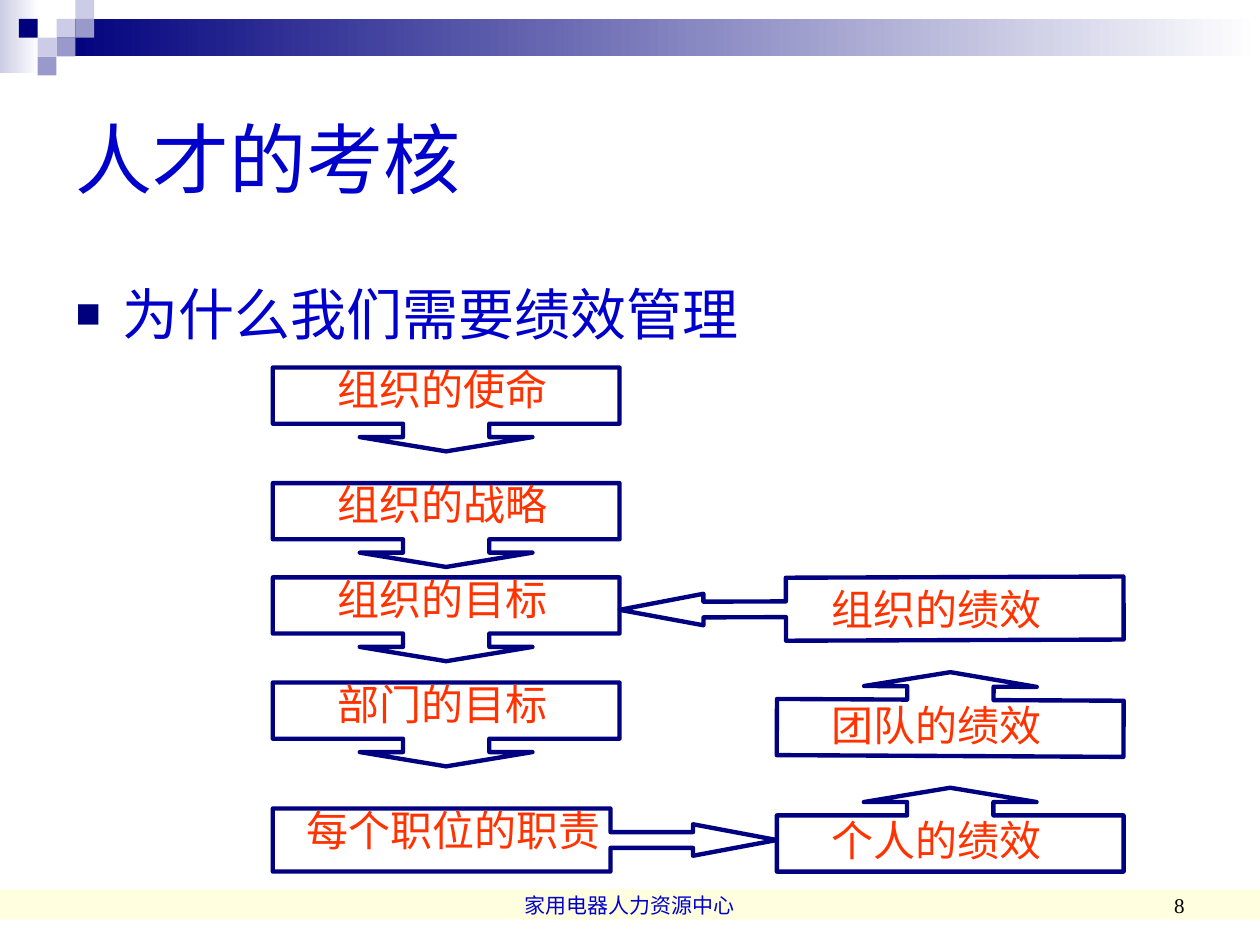
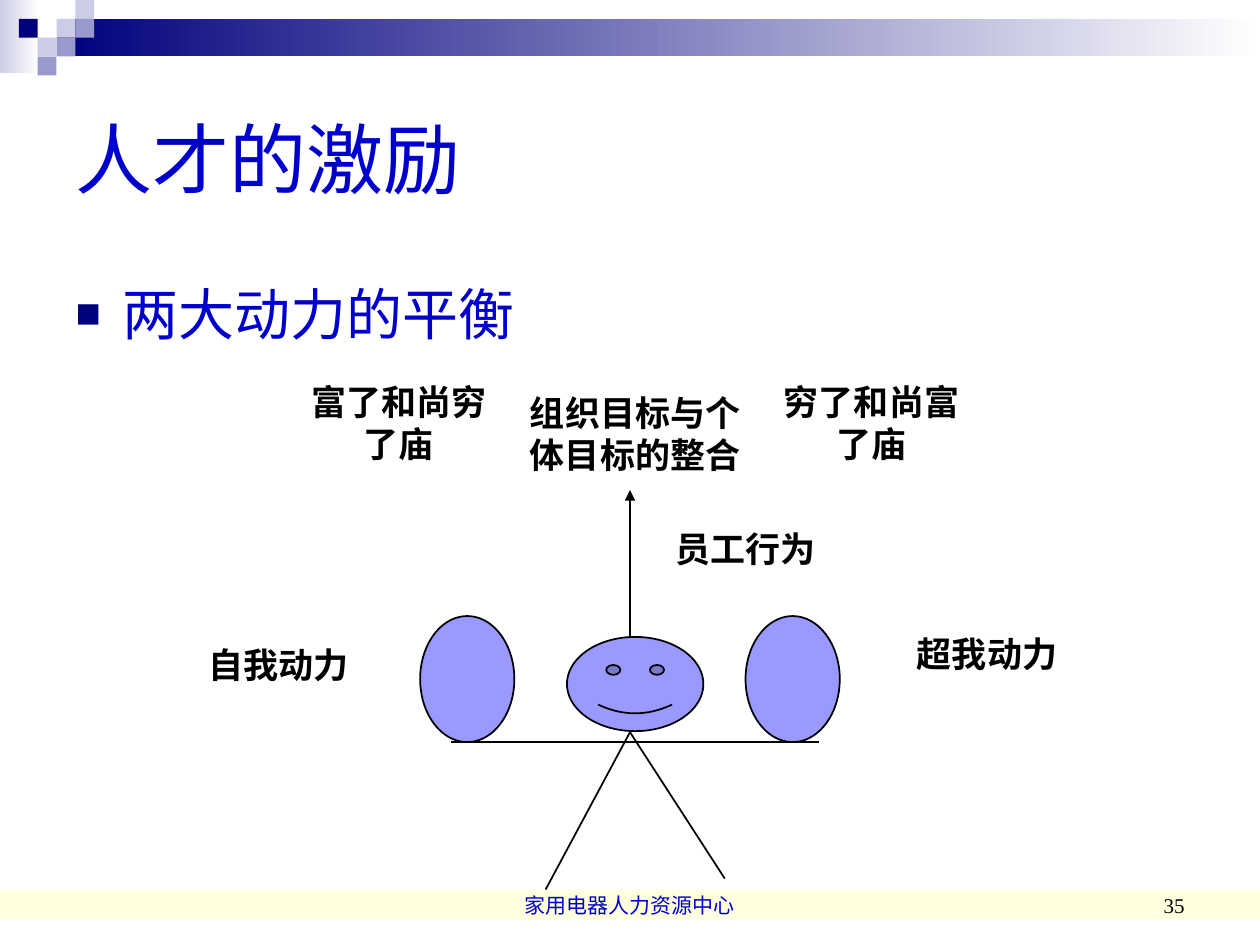
from pptx import Presentation
from pptx.dml.color import RGBColor
from pptx.enum.shapes import MSO_CONNECTOR, MSO_SHAPE
from pptx.enum.text import MSO_ANCHOR, MSO_AUTO_SIZE, PP_ALIGN
from pptx.oxml.ns import qn
from pptx.util import Cm, Pt
from lxml import etree

LEFT, CENTER, RIGHT = PP_ALIGN.LEFT, PP_ALIGN.CENTER, PP_ALIGN.RIGHT
TOP, MIDDLE, BOTTOM = MSO_ANCHOR.TOP, MSO_ANCHOR.MIDDLE, MSO_ANCHOR.BOTTOM
RECTANGLE, OVAL, SMILEY = MSO_SHAPE.RECTANGLE, MSO_SHAPE.OVAL, MSO_SHAPE.SMILEY_FACE
DOWN_CALLOUT = MSO_SHAPE.DOWN_ARROW_CALLOUT
RIGHT_CALLOUT = MSO_SHAPE.RIGHT_ARROW_CALLOUT
STRAIGHT = MSO_CONNECTOR.STRAIGHT
NO_AUTOFIT = MSO_AUTO_SIZE.NONE

WHITE = RGBColor(0xFF, 0xFF, 0xFF)
BLACK = RGBColor(0x00, 0x00, 0x00)
BLUE = RGBColor(0x00, 0x00, 0xCC)
NAVY = RGBColor(0x00, 0x00, 0x7D)
OUTLINE = RGBColor(0x00, 0x00, 0x80)
LAVENDER = RGBColor(0xCC, 0xCC, 0xE6)
MAUVE = RGBColor(0x99, 0x99, 0xCC)
PERIWINKLE = RGBColor(0x99, 0x99, 0xFF)
ORANGE = RGBColor(0xFF, 0x33, 0x00)
YELLOW = RGBColor(0xFF, 0xFF, 0x99)

FOOTER = "家用电器人力资源中心"
CELL = 0.38
MOSAIC = [
    (3, 1, LAVENDER), (4, 0, LAVENDER), (4, 1, MAUVE), (2, 2, LAVENDER),
    (1, 1, NAVY), (3, 2, MAUVE), (2, 3, MAUVE),
]

VERTICAL = dict(kind=DOWN_CALLOUT, size=(6.99, 1.69), adjust=(1.03, 1.03, 0.17, 0.67))
HORIZONTAL = dict(kind=RIGHT_CALLOUT, size=(10.16, 1.27), adjust=(0.25, 0.25, 1.33, 0.67))
GOAL_X, RESULT_X, RESULT_TEXT_X = 5.5, 15.66, 16.51
STEPS = [
    ("组织的使命", VERTICAL, (GOAL_X, 7.41), 0, (6.56, 7.2)),
    ("组织的战略", VERTICAL, (GOAL_X, 9.74), 0, (6.56, 9.53)),
    ("组织的目标", VERTICAL, (GOAL_X, 11.64), 0, (6.56, 11.43)),
    ("部门的目标", VERTICAL, (GOAL_X, 13.76), 0, (6.56, 13.55)),
    ("每个职位的职责", HORIZONTAL, (GOAL_X, 16.3), 0, (5.93, 16.09)),
    ("个人的绩效", VERTICAL, (RESULT_X, 15.88), 180, (RESULT_TEXT_X, 16.3)),
    ("团队的绩效", VERTICAL, (RESULT_X, 13.55), 180.3, (RESULT_TEXT_X, 13.97)),
    ("组织的绩效", HORIZONTAL, (12.49, 11.64), 179.8, (RESULT_TEXT_X, 11.64)),
]

APEX = (12.7, 14.76)
BALANCE_LINES = [
    ((9.1, 14.96), (16.51, 14.96)),
    (APEX, (11, 17.93)),
    (APEX, (14.61, 17.71)),
]
BEHAVIOUR_ARROW = ((12.7, 12.84), (12.7, 9.88))
BALANCE_FIGURES = [
    (OVAL, (8.47, 12.42, 1.9, 2.54)),
    (OVAL, (15.03, 12.42, 1.9, 2.54)),
    (SMILEY, (11.43, 12.84, 2.75, 1.9)),
]
BALANCE_LABELS = [
    ("自我动力", (3.18, 12.84, 4.87, 1.11)),
    ("超我动力", (17.36, 12.62, 5.08, 1.11)),
    ("富了和尚穷了庙", (5.93, 7.55, 4.23, 1.97)),
    ("穷了和尚富了庙", (15.24, 7.55, 4.66, 1.97)),
    ("员工行为", (13.12, 10.51, 3.81, 1.11)),
    ("组织目标与个体目标的整合", (10.16, 7.76, 5.29, 1.97)),
]


def cm(values):
    return [Cm(value) for value in values]


def write(holder, text, size=20, font="Times New Roman", color=BLACK, bold=False,
          align=LEFT, anchor=TOP):
    frame = holder.text_frame
    frame.word_wrap = True
    frame.auto_size = NO_AUTOFIT
    frame.vertical_anchor = anchor
    paragraph = frame.paragraphs[0]
    paragraph.alignment = align
    paragraph.space_before = Pt(0)
    run = paragraph.add_run()
    run.text = text
    run.font.size = Pt(size)
    run.font.name = font
    run.font.bold = bold
    run.font.color.rgb = color
    return paragraph


def add_label(slide, text, area, **style):
    write(slide.shapes.add_textbox(*cm(area)), text, **style)


def add_figure(slide, kind, area, fill=None, line=None, weight=1):
    figure = slide.shapes.add_shape(kind, *cm(area))
    figure.shadow.inherit = False
    if fill is None:
        figure.fill.background()
    else:
        figure.fill.solid()
        figure.fill.fore_color.rgb = fill
    if line is None:
        figure.line.fill.background()
    else:
        figure.line.color.rgb = line
        figure.line.width = Pt(weight)
    return figure


def add_fade(slide, area, color):
    fade = add_figure(slide, RECTANGLE, area)
    fade.fill.gradient()
    fade.fill.gradient_angle = 180
    for stop, shade in zip(fade.fill.gradient_stops, (WHITE, color)):
        stop.color.rgb = shade


def add_line(slide, start, end, arrow=False):
    line = slide.shapes.add_connector(STRAIGHT, *cm(start + end))
    line.line.color.rgb = BLACK
    line.line.width = Pt(1)
    properties = line.element.spPr
    if arrow:
        etree.SubElement(properties.find(qn("a:ln")), qn("a:tailEnd"), type="triangle")
    etree.SubElement(properties, qn("a:effectLst"))


def add_bullet(paragraph):
    properties = paragraph._p.get_or_add_pPr()
    properties.set("marL", str(Cm(0.95)))
    properties.set("indent", str(-Cm(0.95)))
    bullet_color = etree.SubElement(properties, qn("a:buClr"))
    etree.SubElement(bullet_color, qn("a:srgbClr"), val=str(NAVY))
    etree.SubElement(properties, qn("a:buSzPct"), val="75000")
    etree.SubElement(properties, qn("a:buFont"), typeface="Arial")
    etree.SubElement(properties, qn("a:buChar"), char="■")


def place(holder, area):
    holder.left, holder.top, holder.width, holder.height = cm(area)


def add_page(deck, title, topic, number):
    slide = deck.slides.add_slide(deck.slide_layouts[1])
    footer_band = add_figure(slide, RECTANGLE, (0, 17.93, 25.4, 0.61), fill=YELLOW)
    band_color = footer_band.element.spPr.find(qn("a:solidFill")).find(qn("a:srgbClr"))
    etree.SubElement(band_color, qn("a:alpha"), val="30000")
    add_fade(slide, (0, 0, 0.79, 1.47), LAVENDER)
    add_fade(slide, (3 * CELL, CELL, 25.4 - 3 * CELL, 2 * CELL), NAVY)
    for column, row, color in MOSAIC:
        add_figure(slide, RECTANGLE, (column * CELL, row * CELL, CELL, CELL), fill=color)

    heading, body = slide.placeholders
    place(heading, (1.27, 1.27, 22.86, 3.81))
    write(heading, title, size=44, font="Arial", color=BLUE, anchor=MIDDLE)
    place(body, (1.27, 5.5, 22.86, 10.8))
    add_bullet(write(body, topic, size=32, font="Arial", color=BLUE))

    add_label(slide, FOOTER, (8.68, 17.36, 8.04, 1.27), size=12, color=BLUE,
              align=CENTER, anchor=BOTTOM)
    add_label(slide, number, (18.2, 17.36, 5.93, 1.27), size=12,
              align=RIGHT, anchor=BOTTOM)
    return slide


def build_assessment(deck):
    slide = add_page(deck, "人才的考核", "为什么我们需要绩效管理", "8")
    for text, callout, corner, turn, text_corner in STEPS:
        box = add_figure(slide, callout["kind"], corner + callout["size"],
                         line=OUTLINE, weight=2.5)
        for index, value in enumerate(callout["adjust"]):
            box.adjustments[index] = value
        box.rotation = turn
        width = 6.56 if len(text) > 5 else 5.29
        add_label(slide, text, text_corner + (width, 1.69), size=24, font="Lato", color=ORANGE)


def build_motivation(deck):
    slide = add_page(deck, "人才的激励", "两大动力的平衡", "35")
    for start, end in BALANCE_LINES:
        add_line(slide, start, end)
    for kind, area in BALANCE_FIGURES:
        add_figure(slide, kind, area, fill=PERIWINKLE, line=BLACK)
    add_line(slide, *BEHAVIOUR_ARROW, arrow=True)
    for text, area in BALANCE_LABELS:
        add_label(slide, text, area, bold=True, align=CENTER)


def main():
    deck = Presentation()
    deck.slide_width, deck.slide_height = Cm(25.4), Cm(19.05)
    build_assessment(deck)
    build_motivation(deck)
    deck.save("out.pptx")


if __name__ == "__main__":
    main()
